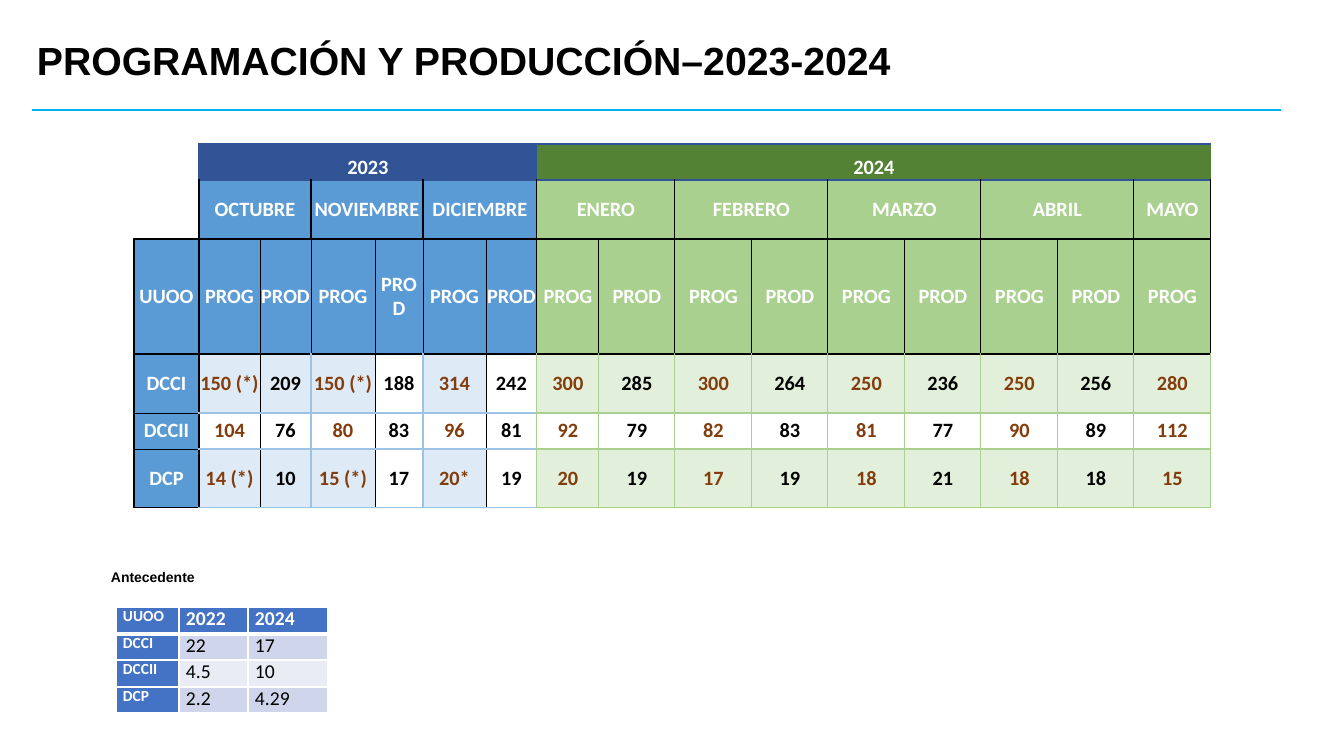
from lxml.etree import SubElement
from pptx import Presentation
from pptx.dml.color import RGBColor
from pptx.enum.shapes import MSO_CONNECTOR
from pptx.enum.text import MSO_ANCHOR, PP_ALIGN
from pptx.oxml.ns import qn
from pptx.util import Emu, Pt

EMU_PER_INCH = 914400
PX_PER_INCH = 100.8

BLACK, WHITE, BROWN = "000000", "FFFFFF", "833C0C"
NAVY, BLUE, SOFT_BLUE, PALE_BLUE = "305496", "5B9BD5", "9CC2E5", "DEEAF6"
DARK_GREEN, GREEN, PALE_GREEN = "548235", "A9D08E", "E2EFDA"
ROYAL, BAND, LIGHT_BAND = "4472C4", "CFD5EA", "E9EBF5"

MONTHS = ["OCTUBRE", "NOVIEMBRE", "DICIEMBRE", "ENERO", "FEBRERO", "MARZO", "ABRIL", "MAYO"]
UNITS = [
    ["DCCI", "150 (*)", "209", "150 (*)", "188", "314", "242", "300", "285",
     "300", "264", "250", "236", "250", "256", "280"],
    ["DCCII", "104", "76", "80", "83", "96", "81", "92", "79",
     "82", "83", "81", "77", "90", "89", "112"],
    ["DCP", "14 (*)", "10", "15 (*)", "17", "20*", "19", "20", "19",
     "17", "19", "18", "21", "18", "18", "15"],
]
BACKGROUND_UNITS = [
    ["UUOO", "2022", "2024"],
    ["DCCI", "22", "17"],
    ["DCCII", "4.5", "10"],
    ["DCP", "2.2", "4.29"],
]
MONTH_WIDTHS = [65, 61, 51, 64, 48, 63, 51, 62] + [76, 77] * 4
MONTH_HEIGHTS = [36, 59, 115, 59, 36, 59]
FIRST_GREEN = 7
END = len(MONTH_WIDTHS)


def px(length):
    return Emu(round(length * EMU_PER_INCH / PX_PER_INCH))


def rgb(color):
    return RGBColor.from_string(color)


def style_text(frame, size, font, color, bold=True, align=PP_ALIGN.LEFT):
    for paragraph in frame.paragraphs:
        paragraph.alignment = align
        for run in paragraph.runs:
            run.font.size = Pt(size)
            run.font.name = font
            run.font.bold = bold
            run.font.color.rgb = rgb(color)


def add_label(slide, text, left, top, width, height, size):
    frame = slide.shapes.add_textbox(px(left), px(top), px(width), px(height)).text_frame
    frame.word_wrap = True
    frame.margin_left = frame.margin_right = frame.margin_top = frame.margin_bottom = 0
    frame.vertical_anchor = MSO_ANCHOR.MIDDLE
    frame.text = text
    frame.paragraphs[0].line_spacing = 0.9
    style_text(frame, size, "Arial", BLACK)


def add_rule(slide, left, right, y):
    rule = slide.shapes.add_connector(MSO_CONNECTOR.STRAIGHT, px(left), px(y), px(right), px(y))
    rule.line.color.rgb = rgb("00B0F0")
    rule.line.width = Pt(1.5)
    SubElement(rule._element.spPr, qn("a:effectLst"))


def add_grid(slide, left, top, widths, heights):
    table = slide.shapes.add_table(len(heights), len(widths), px(left), px(top),
                                   px(sum(widths)), px(sum(heights))).table
    table.first_row = table.horz_banding = False
    for column, width in zip(table.columns, widths):
        column.width = px(width)
    for row, height in zip(table.rows, heights):
        row.height = px(height)
    return table


def paint_cell(cell, fill, edges, side_margin=0):
    """Set margins, edges (left, right, top, bottom as colour and points) and fill."""
    cell.margin_left = cell.margin_right = px(side_margin)
    cell.margin_top = cell.margin_bottom = 0
    properties = cell._tc.get_or_add_tcPr()
    for side, edge in zip("LRTB", edges):
        line = SubElement(properties, qn(f"a:ln{side}"))
        if edge:
            color, points = edge
            line.set("w", str(Pt(points)))
            solid = SubElement(line, qn("a:solidFill"))
            SubElement(solid, qn("a:srgbClr")).set("val", color)
        else:
            SubElement(line, qn("a:noFill"))
    if fill:
        cell.fill.solid()
        cell.fill.fore_color.rgb = rgb(fill)
    else:
        cell.fill.background()


def vertical_edge(row, column):
    """Edge on the left of a column; END stands for the right side of the table."""
    if row == 0:
        return (NAVY, 1) if column in (1, FIRST_GREEN, END) else None
    if row == 1:
        return (BLACK, 1) if column % 2 or column == END else None
    inner_blue = 1 < column < FIRST_GREEN
    if row == 2:
        return BLACK, 0.5 if inner_blue else 1
    if inner_blue:
        return (SOFT_BLUE, 1) if column % 2 else (BLACK, 0.5)
    return (BLACK, 1) if column < FIRST_GREEN else (GREEN, 1)


def horizontal_edge(row, column):
    """Edge on top of a row."""
    if column == 0:
        return None if row < 2 else (BLACK, 0.5 if row in (4, 5) else 1)
    if row < 2:
        return NAVY, 1
    if row < 4:
        return BLACK, 1
    return (SOFT_BLUE if column < FIRST_GREEN else GREEN), 1


def month_fill(row, column):
    if column == 0:
        return BLUE if row > 1 else None
    is_blue = column < FIRST_GREEN
    if row == 0:
        return NAVY if is_blue else DARK_GREEN
    if row < 3:
        return BLUE if is_blue else GREEN
    if row == 4 or column in (4, 6):
        return None
    return PALE_BLUE if is_blue else PALE_GREEN


def month_color(row, column):
    if row < 3 or column == 0:
        return WHITE
    return BROWN if column % 2 else BLACK


def add_month_table(slide):
    table = add_grid(slide, 134, 144, MONTH_WIDTHS, MONTH_HEIGHTS)
    years = [""] * END
    years[1], years[FIRST_GREEN] = "2023", "2024"
    months = [""] * END
    months[1::2] = MONTHS
    headings = ["UUOO"] + ["PROG" if c % 2 else "PROD" for c in range(1, END)]
    for r, texts in enumerate([years, months, headings] + UNITS):
        for c, text in enumerate(texts):
            cell = table.cell(r, c)
            edges = (vertical_edge(r, c), vertical_edge(r, c + 1),
                     horizontal_edge(r, c), horizontal_edge(r + 1, c))
            paint_cell(cell, month_fill(r, c), edges)
            cell.vertical_anchor = MSO_ANCHOR.MIDDLE if r else MSO_ANCHOR.BOTTOM
            cell.text_frame.text = text
            style_text(cell.text_frame, 14.5, "Calibri", month_color(r, c),
                       align=PP_ALIGN.CENTER)
    table.cell(0, 0).merge(table.cell(1, 0))
    table.cell(0, 1).merge(table.cell(0, FIRST_GREEN - 1))
    table.cell(0, FIRST_GREEN).merge(table.cell(0, END - 1))
    for c in range(1, END - 1, 2):
        table.cell(1, c).merge(table.cell(1, c + 1))


def add_background_table(slide):
    table = add_grid(slide, 116, 607, [63, 69, 80], [27, 26, 27, 26])
    for r, texts in enumerate(BACKGROUND_UNITS):
        for c, text in enumerate(texts):
            cell = table.cell(r, c)
            is_heading = r == 0 or c == 0
            band = BAND if r % 2 else LIGHT_BAND
            top, bottom = (WHITE, 3 if r == 1 else 1), (WHITE, 3 if r == 0 else 1)
            paint_cell(cell, ROYAL if is_heading else band,
                       ((WHITE, 1), (WHITE, 1), top, bottom), side_margin=7)
            cell.text_frame.text = text
            style_text(cell.text_frame, 14 if c else 11, "Calibri",
                       WHITE if is_heading else BLACK, bold=is_heading)


def main():
    presentation = Presentation()
    presentation.slide_width, presentation.slide_height = px(1344), px(756)
    slide = presentation.slides.add_slide(presentation.slide_layouts[6])
    add_rule(slide, 32, 1281, 110)
    add_label(slide, "PROGRAMACIÓN Y PRODUCCIÓN–2023-2024", 37, 27, 1140, 71, 28)
    add_month_table(slide)
    add_background_table(slide)
    add_label(slide, "Antecedente", 111, 568, 260, 20, 10)
    presentation.save("out.pptx")


if __name__ == "__main__":
    main()
